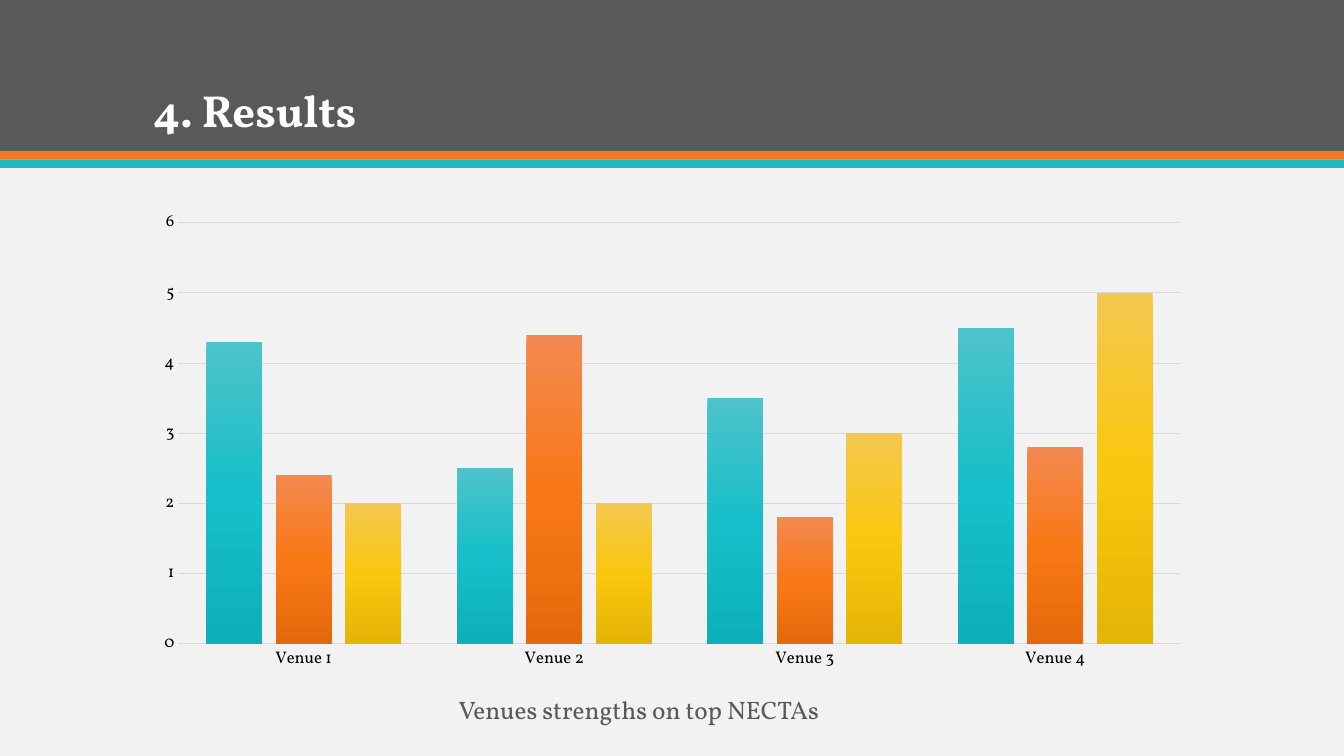
from lxml import etree
from pptx import Presentation
from pptx import util as u
from pptx.chart.data import CategoryChartData
from pptx.dml.color import RGBColor
from pptx.enum import chart as ch, shapes, text
from pptx.oxml.ns import qn

W, H = 13.33, 7.5
FONT = "Vollkorn"
COLORS = {
    "page": "F2F2F2", "band": "595959", "orange": "EF7920", "teal": "1EB8C1",
    "white": "FFFFFF", "black": "000000", "grey": "595959", "grid": "D9D9D9",
}
VENUES = ["Venue 1", "Venue 2", "Venue 3", "Venue 4"]
# Series name: values, gradient from top to bottom
SERIES = {
    "Series 1": ((4.3, 2.5, 3.5, 4.5), ("4EC3CB", "16BFC9", "0CB0BA")),
    "Series 2": ((2.4, 4.4, 1.8, 2.8), ("F38950", "F97816", "E5690C")),
    "Series 3": ((2, 2, 3, 5), ("F3C84E", "FAC70E", "E5B506")),
}


def rgb(name):
    return RGBColor.from_string(COLORS[name])


def inches(*lengths):
    return [u.Inches(n) for n in lengths]


def set_font(font, size, color, bold=False):
    font.name, font.size, font.bold = FONT, u.Pt(size), bold
    font.color.rgb = rgb(color)


def add_band(slide, top, height, color):
    sp = slide.shapes.add_shape(shapes.MSO_SHAPE.RECTANGLE, *inches(0, top, W, height))
    sp.shadow.inherit = False
    sp.fill.solid()
    sp.fill.fore_color.rgb = rgb(color)
    sp.line.fill.background()


def add_text(slide, box, words, size, color, bold=False,
             anchor=text.MSO_ANCHOR.TOP, spacing=1.0):
    tf = slide.shapes.add_textbox(*inches(*box)).text_frame
    tf.word_wrap = True
    tf.vertical_anchor = anchor
    p = tf.paragraphs[0]
    p.text = words
    p.line_spacing = spacing
    set_font(p.font, size, color, bold)


def fill_gradient(series, stops):
    """Fill the columns with evenly spaced stops, running downwards."""
    grad = etree.Element(qn("a:gradFill"), rotWithShape="1")
    stop_list = etree.SubElement(grad, qn("a:gsLst"))
    for i, color in enumerate(stops):
        gs = etree.SubElement(stop_list, qn("a:gs"), pos=str(100000 * i // (len(stops) - 1)))
        etree.SubElement(gs, qn("a:srgbClr"), val=color)
    etree.SubElement(grad, qn("a:lin"), ang="5400000", scaled="0")
    series.format.line.fill.background()
    series._element.get_or_add_spPr().insert(0, grad)


def style_axis(axis):
    axis.major_tick_mark = axis.minor_tick_mark = ch.XL_TICK_MARK.NONE
    set_font(axis.tick_labels.font, 12, "black")


def style_line(line):
    line.color.rgb = rgb("grid")
    line.width = u.Pt(0.75)


def add_column_chart(slide, box):
    data = CategoryChartData()
    data.categories = VENUES
    for name, (values, _) in SERIES.items():
        data.add_series(name, values)
    chart = slide.shapes.add_chart(
        ch.XL_CHART_TYPE.COLUMN_CLUSTERED, *inches(*box), data).chart
    chart.has_title = chart.has_legend = False
    set_font(chart.font, 10, "grey")

    # Columns
    plot = chart.plots[0]
    plot.gap_width, plot.overlap = 100, -24
    plot.vary_by_categories = False
    for series in plot.series:
        fill_gradient(series, SERIES[series.name][1])

    # Axes and grid
    style_axis(chart.category_axis)
    style_line(chart.category_axis.format.line)
    values = chart.value_axis
    style_axis(values)
    values.minimum_scale, values.maximum_scale, values.major_unit = 0, 6, 1
    values.tick_labels.number_format = "General"
    values.tick_labels.number_format_is_linked = False
    values.format.line.fill.background()
    style_line(values.major_gridlines.format.line)


def main():
    prs = Presentation()
    prs.slide_width, prs.slide_height = inches(W, H)
    slide = prs.slides.add_slide(prs.slide_layouts[6])
    slide.background.fill.solid()
    slide.background.fill.fore_color.rgb = rgb("page")

    # Header band with two stripes
    header, stripe = H / 5, H / 90
    add_band(slide, 0, header, "band")
    for i, color in enumerate(("orange", "teal")):
        add_band(slide, header + i * stripe, stripe, color)

    # Title, chart and caption
    left, width = 1.42, 10.5
    add_text(slide, (left, 0.28, width, 1.13), "4. Results", 32, "white", True,
             text.MSO_ANCHOR.BOTTOM, 0.9)
    add_column_chart(slide, (left, 2, width, 4.75))
    add_text(slide, (4.45, 6.84, 7.66, 0.4), "Venues strengths on top NECTAs", 18, "grey")

    prs.save("out.pptx")


if __name__ == "__main__":
    main()
